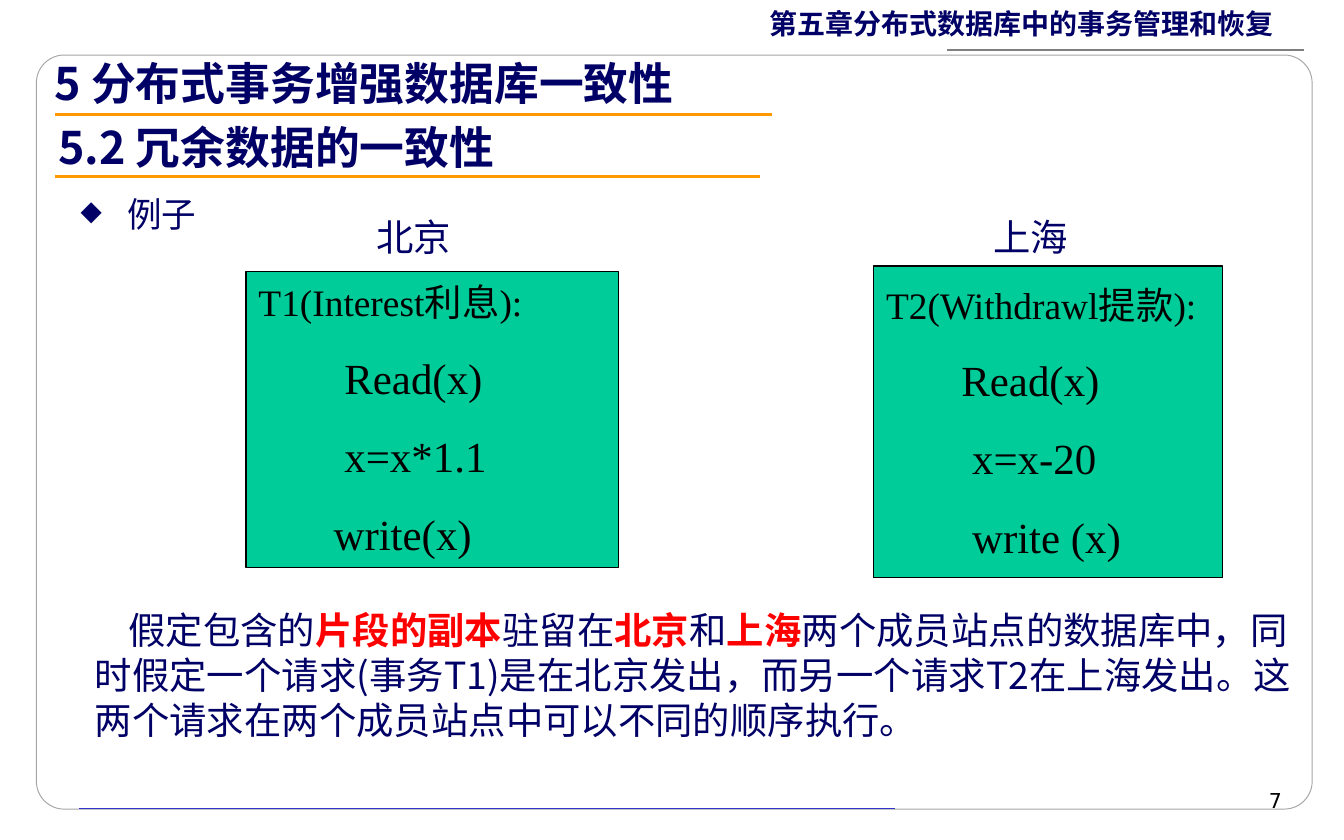
from typing import Any, NamedTuple

from lxml.etree import SubElement
from pptx import Presentation
from pptx.dml.color import RGBColor
from pptx.enum.shapes import MSO_CONNECTOR as Link, MSO_SHAPE as Kind
from pptx.enum.text import MSO_ANCHOR as Anchor, PP_ALIGN as Align
from pptx.oxml.ns import qn
from pptx.util import Pt

NAVY, RED, BLACK, WHITE = "000066", "FF0000", "000000", "FFFFFF"
GREEN, ORANGE = "00CC99", "FF9900"
SANS, SERIF = "Noto Sans CJK SC", "Times New Roman"


class Box(NamedTuple):
    x: float
    y: float
    w: float
    h: float


class Line(NamedTuple):
    x: float
    y: float
    end: float
    color: str
    width: float


class Head(NamedTuple):
    text: str
    box: Box
    rule: Line


class Site(NamedTuple):
    name: str
    label: Box
    box: Box
    title: str
    gap: float
    code: tuple[str, ...]


def tint(code: str) -> RGBColor:
    return RGBColor.from_string(code)


def write(para: Any, text: str, *, size: float = 20, font: str = SANS,
          color: str = NAVY, bold: bool = False) -> None:
    """Add one formatted run to a paragraph."""
    run = para.add_run()
    run.text = text
    style = run.font
    style.size, style.bold, style.name = Pt(size), bold, font
    style.color.rgb = tint(color)
    SubElement(style._element, qn("a:ea"), typeface=SANS)


def frame(shape: Any, wrap: bool = True) -> Any:
    """Set the insets of a shape and return its text frame."""
    body = shape.text_frame
    body.word_wrap = wrap
    body.margin_left = body.margin_right = Pt(6.75)
    body.margin_top = body.margin_bottom = Pt(3.5)
    return body


def label(shapes: Any, box: Box, text: str = "", **form: Any) -> Any:
    """Add a text box and return its first paragraph."""
    para = frame(shapes.add_textbox(*map(Pt, box))).paragraphs[0]
    if text:
        write(para, text, **form)
    return para


def rule(shapes: Any, line: Line) -> None:
    link = shapes.add_connector(Link.STRAIGHT, Pt(line.x), Pt(line.y),
                                Pt(line.end), Pt(line.y))
    link.line.color.rgb = tint(line.color)
    link.line.width = Pt(line.width)
    SubElement(link._element.spPr, qn("a:effectLst"))


def block(shapes: Any, kind: Any, box: Box, fill: str, edge: str,
          width: float) -> Any:
    shape = shapes.add_shape(kind, *map(Pt, box))
    shape.shadow.inherit = False
    shape.fill.solid()
    shape.fill.fore_color.rgb = tint(fill)
    shape.line.color.rgb = tint(edge)
    shape.line.width = Pt(width)
    return shape


def draw_site(shapes: Any, site: Site) -> None:
    """Draw a site name above its transaction box."""
    label(shapes, site.label, site.name, font=SERIF)
    shape = block(shapes, Kind.RECTANGLE, site.box, GREEN, BLACK, 0.75)
    body = frame(shape, wrap=False)
    body.vertical_anchor = Anchor.MIDDLE
    para = body.paragraphs[0]
    para.alignment = Align.LEFT
    write(para, site.title, font=SERIF, color=BLACK)
    for step in site.code:
        para = body.add_paragraph()
        para.alignment = Align.LEFT
        para.space_before = Pt(site.gap)
        write(para, step, size=23, font=SERIF, color=BLACK)


def draw_head(shapes: Any, head: Head) -> None:
    """Group a heading with the rule below it."""
    group = shapes.add_group_shape().shapes
    label(group, head.box, head.text, size=24, bold=True)
    rule(group, head.rule)


SITES = (
    Site("北京", Box(195, 111.5, 73.5, 31), Box(131.75, 145.5, 199.5, 158.5),
         "T1(Interest利息):", 14.4,
         ("        Read(x)", "        x=x*1.1", "       write(x)")),
    Site("上海", Box(525.5, 111.5, 72, 31), Box(468, 142.5, 187, 167),
         "T2(Withdrawl提款):", 14.4,
         ("       Read(x)", "        x=x-20", "        write (x)")),
)
HEADS = (
    Head("5.2 冗余数据的一致性", Box(24.5, 60.5, 420.5, 36),
         Line(29.5, 94.5, 407, ORANGE, 1.5)),
    Head("5 分布式事务增强数据库一致性", Box(22.5, 26.5, 420.5, 36),
         Line(29.5, 61.25, 413.5, ORANGE, 1.5)),
)
STORY = (
    ("假定包含的", False), ("片段的副本", True), ("驻留在", False),
    ("北京", True), ("和", False), ("上海", True),
    ("两个成员站点的数据库中，同时假定一个请求(事务T1)是在北京发出，"
     "而另一个请求T2在上海发出。这两个请求在两个成员站点中可以不同的顺序执行。",
     False),
)


def main() -> None:
    deck = Presentation()
    deck.slide_width, deck.slide_height = Pt(720), Pt(450)
    shapes = deck.slides.add_slide(deck.slide_layouts[6]).shapes

    # Page frame, chapter name and page number
    panel = block(shapes, Kind.ROUNDED_RECTANGLE,
                  Box(19.5, 29.5, 683.5, 404), WHITE, "A5A5A5", 0.5)
    panel.adjustments[0] = 0.037
    rule(shapes, Line(42.5, 433, 479.5, "3333CC", 0.25))
    para = label(shapes, Box(405.5, 2, 314.5, 23),
                 "第五章分布式数据库中的事务管理和恢复", size=15, bold=True)
    para.line_spacing = 0.9
    rule(shapes, Line(507.5, 26.75, 698.5, "7F7F7F", 0.75))
    para = label(shapes, Box(513.5, 418.5, 180, 20), "7", size=11,
                 font="DejaVu Sans", color=BLACK)
    para.alignment = Align.RIGHT

    # Bullet
    para = label(shapes, Box(36.5, 100, 648, 30))
    props = para._p.get_or_add_pPr()
    props.set("marL", str(Pt(25)))
    props.set("indent", str(-Pt(25)))
    color = SubElement(props, qn("a:buClr"))
    SubElement(color, qn("a:srgbClr"), val=NAVY)
    SubElement(props, qn("a:buSzPct"), val="80000")
    SubElement(props, qn("a:buChar"), char="◆")
    write(para, "例子", size=18.5, font=SERIF)

    # Transactions at the two sites
    for site in SITES:
        draw_site(shapes, site)

    # Explanation
    para = label(shapes, Box(44, 322, 655, 78.5))
    para._p.get_or_add_pPr().set("indent", str(Pt(18)))
    for text, key in STORY:
        write(para, text, color=RED if key else NAVY, bold=key)

    # Headings
    for head in HEADS:
        draw_head(shapes, head)

    deck.save("out.pptx")


if __name__ == "__main__":
    main()
